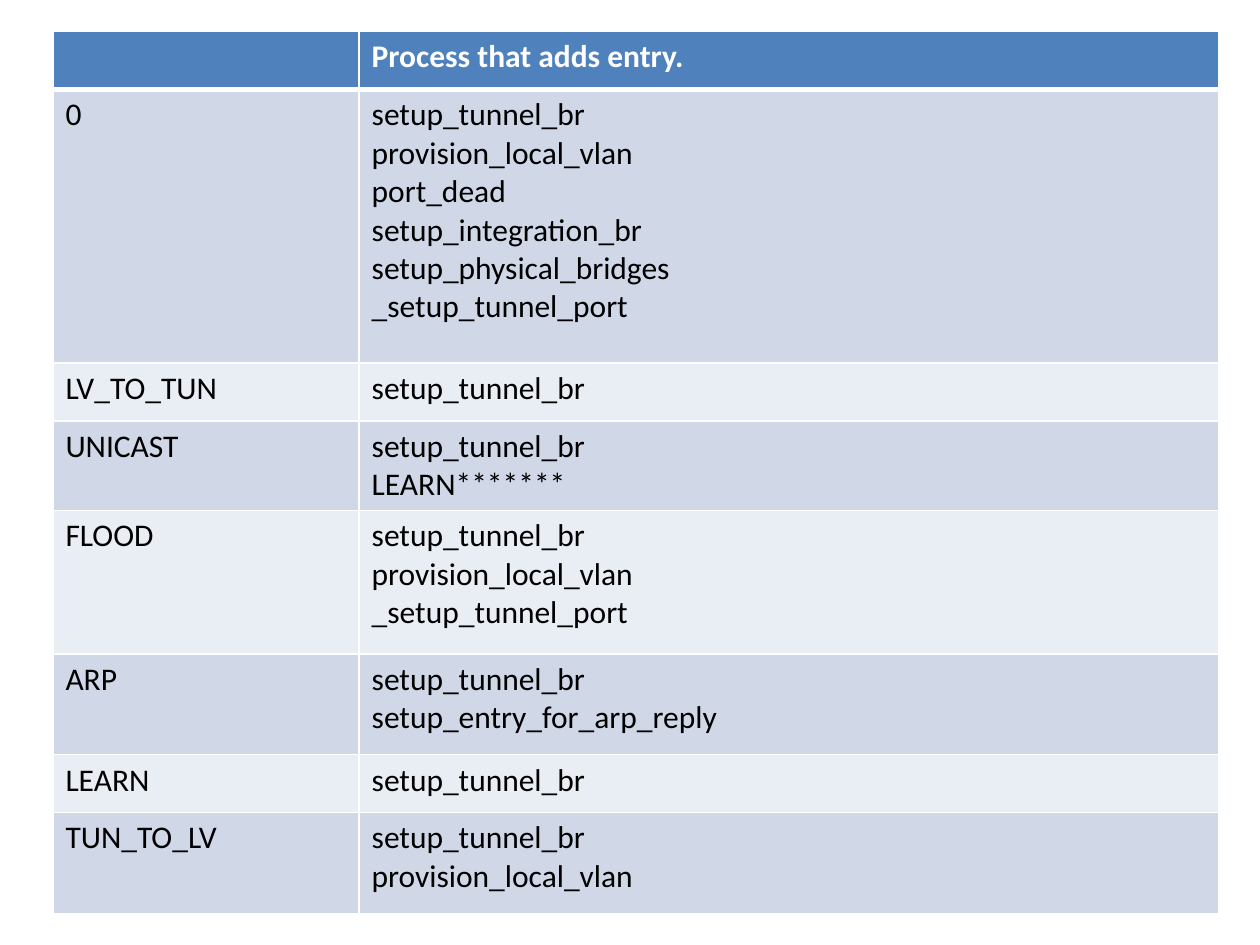
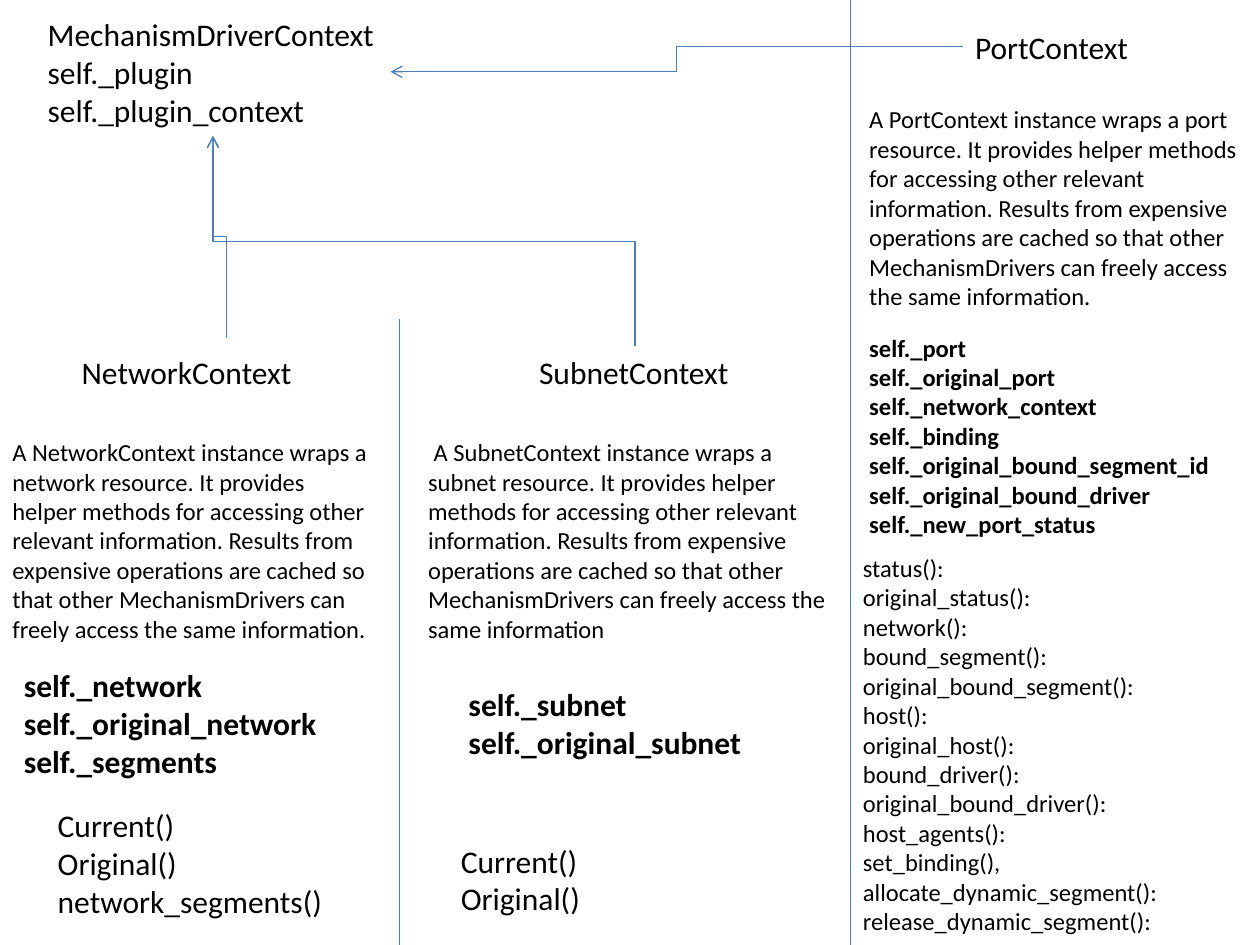
from dataclasses import dataclass

from lxml.etree import SubElement
from pptx import Presentation
from pptx.dml.color import RGBColor
from pptx.enum.shapes import MSO_CONNECTOR
from pptx.enum.text import MSO_AUTO_SIZE
from pptx.oxml.ns import qn
from pptx.util import Inches, Pt


@dataclass(frozen=True)
class Theme:
    """Colours, font and sizes shared by the slides."""
    font: str = "Calibri"
    large: int = 18
    small: int = 14
    text: str = "000000"
    white: str = "FFFFFF"
    header: str = "4F81BD"
    bands: tuple = ("D0D8E8", "E9EDF4")
    line: str = "4B7EBC"
    line_width: float = 0.75
    border_width: int = 1
    header_border_width: int = 3


THEME = Theme()

TABLE_COLUMNS = (2.43, 6.82)
FLOW_ROWS = [
    (0.46, "", ["Process that adds entry."]),
    (2.17, "0", ["setup_tunnel_br", "provision_local_vlan", "port_dead",
                 "setup_integration_br", "setup_physical_bridges", "_setup_tunnel_port"]),
    (0.46, "LV_TO_TUN", ["setup_tunnel_br"]),
    (0.71, "UNICAST", ["setup_tunnel_br", "LEARN*******"]),
    (1.14, "FLOOD", ["setup_tunnel_br", "provision_local_vlan", "_setup_tunnel_port"]),
    (0.8, "ARP", ["setup_tunnel_br", "setup_entry_for_arp_reply"]),
    (0.46, "LEARN", ["setup_tunnel_br"]),
    (0.8, "TUN_TO_LV", ["setup_tunnel_br", "provision_local_vlan"]),
]

DESCRIPTION = (
    "A {0}Context instance wraps a {1} resource. It provides helper methods for "
    "accessing other relevant information. Results from expensive operations are cached "
    "so that other MechanismDrivers can freely access the same information"
)

CLASS_NAMES = [
    ((0.28, 0.07, 2.82, 1.01),
     ["MechanismDriverContext", "self._plugin", "self._plugin_context"]),
    ((0.55, 2.75, 1.88, 0.4), ["NetworkContext"]),
    ((4.18, 2.75, 1.72, 0.4), ["SubnetContext"]),
    ((7.64, 0.17, 1.43, 0.4), ["PortContext"]),
]
DESCRIPTIONS = [
    ((0, 3.42, 3.04, 1.75), [DESCRIPTION.format("Network", "network") + "."]),
    ((3.3, 3.42, 3.47, 1.75), [" " + DESCRIPTION.format("Subnet", "subnet")]),
    ((6.8, 0.78, 3.12, 1.75), [DESCRIPTION.format("Port", "port") + "."]),
]
ATTRIBUTES = [
    ((0.09, 5.24, 2.71, 1.01),
     ["self._network", "self._original_network", "self._segments"]),
    ((3.62, 5.39, 2.44, 0.71), ["self._subnet", "self._original_subnet"]),
]
PORT_ATTRIBUTES = [
    ((6.8, 2.59, 2.95, 1.75),
     ["self._port", "self._original_port", "self._network_context", "self._binding",
      "self._original_bound_segment_id", "self._original_bound_driver",
      "self._new_port_status"]),
]
METHODS = [
    ((0.36, 6.35, 2.32, 1.01), ["Current()", "Original()", "network_segments()"]),
    ((3.56, 6.63, 1.53, 0.71), ["Current()", "Original()"]),
]
PORT_METHODS = [
    ((6.75, 4.34, 3.42, 3.16),
     ["status():", "original_status():", "network():", "bound_segment():",
      "original_bound_segment():", "host():", "original_host():", "bound_driver():",
      "original_bound_driver():", "host_agents():", "set_binding(),",
      "allocate_dynamic_segment():", "release_dynamic_segment():"]),
]


def set_attributes(target, values):
    """Set each named format value on the target."""
    for name, value in values.items():
        setattr(target, name, value)


def write_lines(frame, lines, size, color=THEME.text, bold=False):
    """Write one paragraph per line in a single format."""
    for index, line in enumerate(lines):
        paragraph = frame.paragraphs[0] if index == 0 else frame.add_paragraph()
        run = paragraph.add_run()
        run.text = line
        set_attributes(run.font, {"name": THEME.font, "size": Pt(size), "bold": bold})
        run.font.color.rgb = RGBColor.from_string(color)


def add_text(slide, box, lines, size=THEME.large, bold=False, wrap=True):
    """Add a text box that grows with its lines."""
    frame = slide.shapes.add_textbox(*map(Inches, box)).text_frame
    set_attributes(frame, {"word_wrap": wrap, "auto_size": MSO_AUTO_SIZE.SHAPE_TO_FIT_TEXT})
    write_lines(frame, lines, size, bold=bold)


def add_texts(slide, texts, **text_format):
    """Add several text boxes in one format."""
    for box, lines in texts:
        add_text(slide, box, lines, **text_format)


def add_line(slide, start, end, kind=MSO_CONNECTOR.STRAIGHT):
    """Add a connector in the line style of the theme."""
    connector = slide.shapes.add_connector(kind, *map(Inches, (*start, *end)))
    connector.line.color.rgb = RGBColor.from_string(THEME.line)
    connector.line.width = Pt(THEME.line_width)
    SubElement(connector.element.spPr, qn("a:effectLst"))
    return connector


def add_elbow_arrow(slide, start, end):
    """Add an arrow that leaves and arrives horizontally."""
    connector = add_line(slide, start, end, MSO_CONNECTOR.ELBOW)
    outline = connector.element.spPr.find(qn("a:ln"))
    SubElement(outline, qn("a:tailEnd"), type="arrow")
    return connector


def add_rising_arrow(slide, start, end):
    """Add an elbow arrow turned to leave and arrive vertically."""
    center_x, center_y = (start[0] + end[0]) / 2, (start[1] + end[1]) / 2
    half_width, half_height = (start[0] - end[0]) / 2, (start[1] - end[1]) / 2
    connector = add_elbow_arrow(
        slide,
        (center_x - half_height, center_y + half_width),
        (center_x + half_height, center_y - half_width),
    )
    connector.element.spPr.find(qn("a:xfrm")).set("rot", str(270 * 60000))


def set_borders(cell, bottom_width):
    """Draw white borders around a table cell."""
    properties = cell._tc.get_or_add_tcPr()
    for side in ("lnL", "lnR", "lnT", "lnB"):
        width = bottom_width if side == "lnB" else THEME.border_width
        border = SubElement(properties, qn(f"a:{side}"), w=str(Pt(width)))
        fill = SubElement(border, qn("a:solidFill"))
        SubElement(fill, qn("a:srgbClr"), val=THEME.white)


def fill_cell(cell, lines, row_index):
    """Format a cell as header or band and write its lines."""
    is_header = row_index == 0
    set_borders(cell, THEME.header_border_width if is_header else THEME.border_width)
    cell.fill.solid()
    color = THEME.header if is_header else THEME.bands[(row_index - 1) % 2]
    cell.fill.fore_color.rgb = RGBColor.from_string(color)
    text_color = THEME.white if is_header else THEME.text
    write_lines(cell.text_frame, lines, THEME.large, text_color, is_header)


def add_flow_table(slide):
    """Add the table of flow tables and the processes that fill them."""
    height = sum(row[0] for row in FLOW_ROWS)
    box = (0.42, 0.25, sum(TABLE_COLUMNS), height)
    table = slide.shapes.add_table(
        len(FLOW_ROWS), len(TABLE_COLUMNS), *map(Inches, box)).table
    for column, width in zip(table.columns, TABLE_COLUMNS):
        column.width = Inches(width)
    for row_index, (row_height, name, processes) in enumerate(FLOW_ROWS):
        table.rows[row_index].height = Inches(row_height)
        fill_cell(table.cell(row_index, 0), [name], row_index)
        fill_cell(table.cell(row_index, 1), processes, row_index)


def add_context_diagram(slide):
    """Add the context classes, their members and the inheritance arrows."""
    add_line(slide, (3.17, 2.53), (3.17, 7.5))
    add_line(slide, (6.75, 0), (6.75, 7.5))
    add_texts(slide, CLASS_NAMES, wrap=False)
    add_texts(slide, DESCRIPTIONS, size=THEME.small)
    add_texts(slide, ATTRIBUTES, bold=True)
    add_texts(slide, PORT_ATTRIBUTES, size=THEME.small, bold=True)
    add_texts(slide, METHODS)
    add_texts(slide, PORT_METHODS, size=THEME.small)
    add_elbow_arrow(slide, (7.64, 0.37), (3.1, 0.57))
    for start in ((5.04, 2.75), (1.8, 2.68)):
        add_rising_arrow(slide, start, (1.69, 1.08))


def main():
    """Build and save the presentation."""
    presentation = Presentation()
    set_attributes(presentation, {"slide_width": Inches(10), "slide_height": Inches(7.5)})
    blank_layout = presentation.slide_layouts[6]
    for add_content in (add_flow_table, add_context_diagram):
        add_content(presentation.slides.add_slide(blank_layout))
    presentation.save("out.pptx")


if __name__ == "__main__":
    main()
